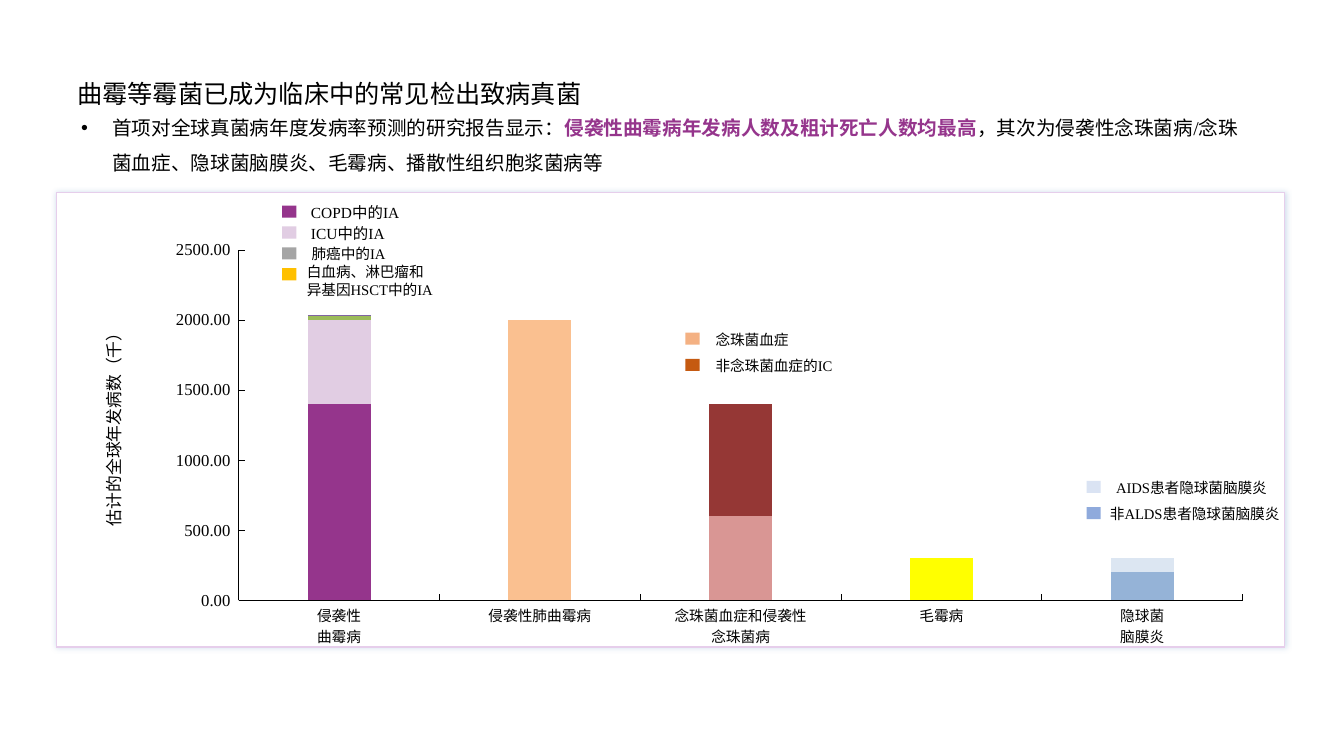
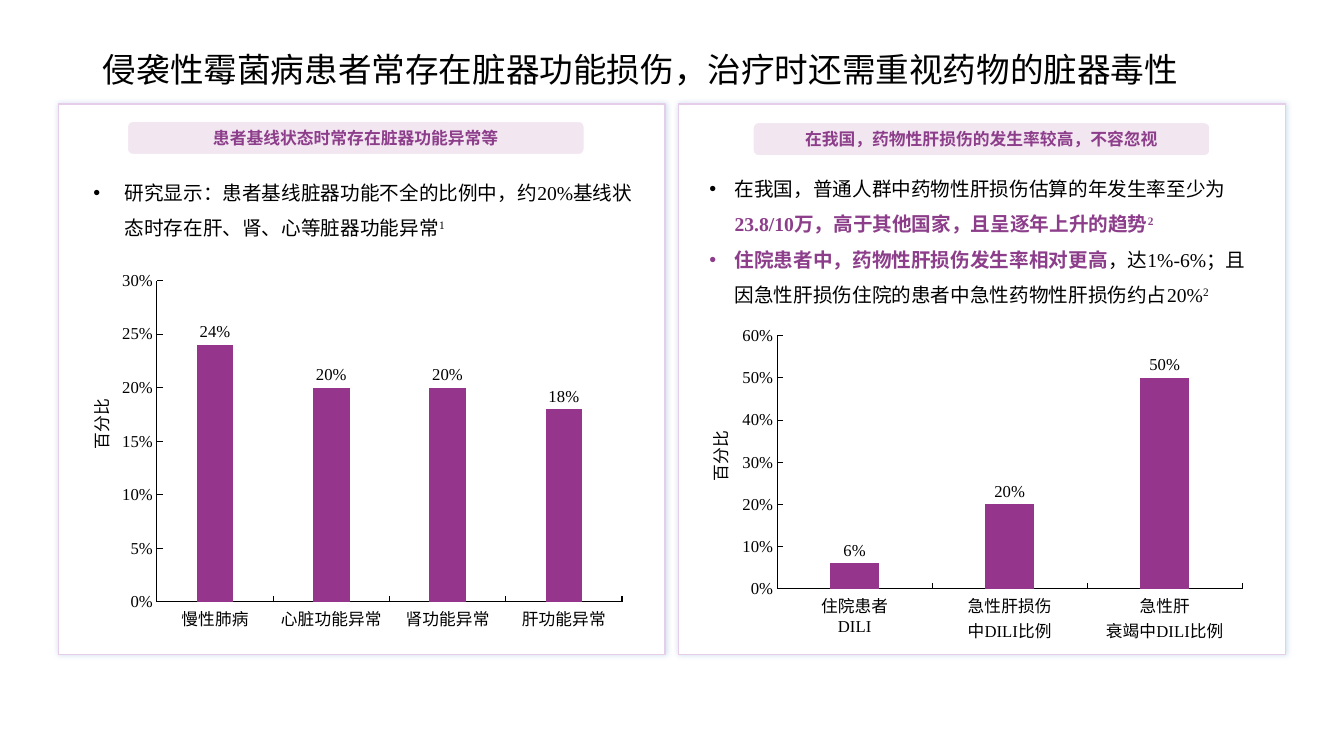
from dataclasses import dataclass

from lxml import etree
from pptx import Presentation
from pptx import util as u
from pptx.chart import data as cd
from pptx.dml.color import RGBColor
from pptx.enum import chart as ce, shapes, text
from pptx.oxml import ns


@dataclass(frozen=True)
class Theme:
    font: str = "Times New Roman"
    title_font: str = "Calibri"
    chart_font: str = "Arial"
    black: str = "000000"
    white: str = "FFFFFF"
    purple: str = "95358C"
    accent: str = "8D3E8B"
    lilac: str = "E1CDE3"
    border: str = "E6CEEB"
    pill: str = "F2E6F1"
    glow: str = "4F81BD"
    body: float = 14
    label: float = 12
    tick: float = 11.9
    key: float = 11
    small: float = 10.5
    chart_size: float = 10


T = Theme()
W, H = u.Inches(13.333), u.Inches(7.5)
SHADOW = (
    '<a:effectLst xmlns:a="{ns}"><a:outerShdw blurRad="50800" dist="0" dir="0">'
    '<a:srgbClr val="{color}"><a:alpha val="25000"/></a:srgbClr>'
    "</a:outerShdw></a:effectLst>"
)


def rgb(code):
    return RGBColor.from_string(code)


def place(x, y, w, h):
    return tuple(int(v * side / 100) for v, side in zip((x, y, w, h), (W, H, W, H)))


def style(font, size, color=T.black, bold=None, name=T.font):
    font.name, font.size, font.bold = name, u.Pt(size), bold
    font.color.rgb = rgb(color)


def add_run(p, words, size, color=T.black, bold=None, raised=False, name=T.font):
    r = p.add_run()
    r.text = words
    style(r.font, size, color, bold, name)
    if raised:
        r.font._element.set("baseline", "30000")


def add_title(s, words, size, box):
    sp = s.shapes.title
    sp.left, sp.top, sp.width, sp.height = place(*box)
    tf = sp.text_frame
    tf.vertical_anchor = text.MSO_ANCHOR.MIDDLE
    tf.auto_size = text.MSO_AUTO_SIZE.NONE
    p = tf.paragraphs[0]
    p.alignment = text.PP_ALIGN.LEFT
    add_run(p, words, size, name=T.title_font)


def add_text(s, words, box, size, align=text.PP_ALIGN.LEFT, rotation=0):
    sp = s.shapes.add_textbox(*place(*box))
    sp.rotation = rotation
    tf = sp.text_frame
    tf.word_wrap = True
    for i, line in enumerate(words.split("\n")):
        p = tf.add_paragraph() if i else tf.paragraphs[0]
        p.alignment = align
        add_run(p, line, size)


def add_bullets(s, items, box, indent, anchor=text.MSO_ANCHOR.TOP):
    tf = s.shapes.add_textbox(*place(*box)).text_frame
    tf.word_wrap, tf.vertical_anchor = True, anchor
    for i, runs in enumerate(items):
        p = tf.add_paragraph() if i else tf.paragraphs[0]
        p.line_spacing = 1.5
        props = p._p.get_or_add_pPr()
        props.set("marL", str(u.Inches(indent)))
        props.set("indent", str(-u.Inches(indent)))
        etree.SubElement(props, ns.qn("a:buFont")).set("typeface", "Arial")
        etree.SubElement(props, ns.qn("a:buChar")).set("char", "•")
        for words, *look in runs:
            add_run(p, words, T.body, *look)


def add_block(s, kind, box, fill, line=None, width=1):
    sp = s.shapes.add_shape(kind, *place(*box))
    sp.shadow.inherit = False
    sp.fill.solid()
    sp.fill.fore_color.rgb = rgb(fill)
    if line:
        sp.line.color.rgb = rgb(line)
        sp.line.width = u.Pt(width)
    else:
        sp.line.fill.background()
    return sp


def add_panel(s, box):
    sp = add_block(s, shapes.MSO_SHAPE.RECTANGLE, box, T.white, T.border)
    props = sp._element.spPr
    props.remove(props.find(ns.qn("a:effectLst")))
    props.append(etree.fromstring(SHADOW.format(ns=ns.nsuri("a"), color=T.glow)))
    for y in (sp.top, sp.top + sp.height):
        edge = s.shapes.add_connector(
            shapes.MSO_CONNECTOR.STRAIGHT, sp.left, y, sp.left + sp.width, y)
        edge.line.color.rgb = rgb(T.border)
        edge.line.width = u.Pt(0.75)
        etree.SubElement(edge._element.spPr, ns.qn("a:effectLst"))


def add_pill(s, words, box):
    sp = add_block(s, shapes.MSO_SHAPE.ROUNDED_RECTANGLE, box, T.pill, T.white, 1.5)
    tf = sp.text_frame
    tf.vertical_anchor = text.MSO_ANCHOR.MIDDLE
    p = tf.paragraphs[0]
    p.alignment = text.PP_ALIGN.CENTER
    add_run(p, words, T.label, T.accent, True)


def add_key(s, x, y, step, entries):
    for i, (color, words, gap, width, size) in enumerate(entries):
        top = y + i * step
        add_block(s, shapes.MSO_SHAPE.RECTANGLE, (x, top, 1.05, 1.6), color)
        rise = 0.95 + 0.4 * words.count("\n")
        add_text(s, words, (x + gap, top - rise, width, 3.8), size)


def style_axis(axis, size, name=T.font):
    axis.has_major_gridlines = False
    axis.major_tick_mark = ce.XL_TICK_MARK.INSIDE
    axis.minor_tick_mark = ce.XL_TICK_MARK.NONE
    axis.format.line.color.rgb = rgb(T.black)
    axis.format.line.width = u.Pt(0.75)
    style(axis.tick_labels.font, size, name=name)


def set_plot_area(chart, area):
    plot_area = chart._chartSpace.chart.plotArea
    layout = plot_area.find(ns.qn("c:layout"))
    if layout is None:
        layout = etree.Element(ns.qn("c:layout"))
        plot_area.insert(0, layout)
    manual = etree.SubElement(layout, ns.qn("c:manualLayout"))
    settings = [("layoutTarget", "inner"), ("xMode", "edge"), ("yMode", "edge")]
    for tag, value in settings + list(zip("xywh", area)):
        etree.SubElement(manual, ns.qn("c:" + tag)).set("val", str(value))


def add_columns(s, kind, box, cats, series, colors, top, step, fmt, area, overlap,
                cat_size=T.tick, cat_font=T.font):
    data = cd.CategoryChartData()
    data.categories = cats
    for i, values in enumerate(series, 1):
        data.add_series(f"Series {i}", values)
    chart = s.shapes.add_chart(kind, *place(*box), data).chart
    chart.has_legend = chart.has_title = False
    style(chart.font, T.chart_size, name=T.chart_font)
    style_axis(chart.category_axis, cat_size, cat_font)
    axis = chart.value_axis
    style_axis(axis, T.tick)
    axis.minimum_scale, axis.maximum_scale, axis.major_unit = 0, top, step
    axis.tick_labels.number_format = fmt
    axis.tick_labels.number_format_is_linked = False
    plot = chart.plots[0]
    plot.gap_width, plot.overlap, plot.vary_by_categories = 219, overlap, False
    for ser, color in zip(plot.series, colors):
        ser.format.fill.solid()
        ser.format.fill.fore_color.rgb = rgb(color)
    set_plot_area(chart, area)
    return plot


def add_percent_columns(s, box, cats, values, top, step, area, cat_font=T.font):
    plot = add_columns(s, ce.XL_CHART_TYPE.COLUMN_CLUSTERED, box, cats, [values],
                       [T.purple], top, step, "0%", area, -27, cat_font=cat_font)
    labels = plot.series[0].data_labels
    labels.show_value = True
    labels.position = ce.XL_LABEL_POSITION.OUTSIDE_END
    labels.number_format, labels.number_format_is_linked = "0%", False
    style(labels.font, T.tick)


def incidence_slide(prs):
    s = prs.slides.add_slide(prs.slide_layouts[5])
    add_panel(s, (4.2, 25.5, 91.4, 60.1))
    add_title(s, "曲霉等霉菌已成为临床中的常见检出致病真菌", 18, (5, 4, 90, 16.7))
    add_bullets(s, [[
        ("首项对全球真菌病年度发病率预测的研究报告显示：",),
        ("侵袭性曲霉病年发病人数及粗计死亡人数均最高", T.purple, True),
        ("，其次为侵袭性念珠菌病/念珠菌血症、隐球菌脑膜炎、毛霉病、播散性组织胞浆菌病等",),
    ]], (5.3, 13.6, 88.65, 9.6), 0.31, text.MSO_ANCHOR.MIDDLE)

    cats = ["侵袭性\n曲霉病", "侵袭性肺曲霉病", "念珠菌血症和侵袭性\n念珠菌病", "毛霉病", "隐球菌\n脑膜炎"]
    stacks = [
        (0, 1400, T.purple), (0, 600, T.lilac), (0, 30, "9BBB59"), (0, 10, "8064A2"),
        (2, 600, "D99694"), (2, 800, "953735"), (4, 200, "95B3D7"), (4, 100, "DCE6F2"),
    ]
    series = [[value if i == col else None for i in range(len(cats))]
              for col, value, _ in stacks]
    series.append([None, 2000, None, 300, None])
    plot = add_columns(
        s, ce.XL_CHART_TYPE.COLUMN_STACKED, (5.4, 31.9, 87.1, 55.2), cats, series,
        [color for *_, color in stacks] + ["C4BD97"], 2500, 500,
        r"0.00_);[Red]\(0.00\)", (0.142, 0.021, 0.858, 0.84), 100, T.small)
    for i, color in ((1, "FAC090"), (3, "FFFF00")):
        fill = plot.series[-1].points[i].format.fill
        fill.solid()
        fill.fore_color.rgb = rgb(color)

    add_text(s, "估计的全球年发病数（千）", (0.15, 54.1, 16.65, 4), T.label, rotation=270)
    add_key(s, 21, 27.2, 2.76, [
        (T.purple, "COPD中的IA", 1.4, 10.2, T.key),
        (T.lilac, "ICU中的IA", 1.4, 10.2, T.key),
        ("A5A5A5", "肺癌中的IA", 1.45, 10.2, T.small),
        ("FFC000", "白血病、淋巴瘤和\n异基因HSCT中的IA", 1.1, 21, T.small),
    ])
    add_key(s, 51, 44, 3.47, [
        ("F4B183", "念珠菌血症", 1.5, 11.1, T.small),
        ("C55A11", "非念珠菌血症的IC", 1.5, 11.1, T.small),
    ])
    add_key(s, 80.85, 63.6, 3.47, [
        ("DAE3F3", "AIDS患者隐球菌脑膜炎", 1.45, 13.3, T.small),
        ("8FAADC", "非ALDS患者隐球菌脑膜炎", 1, 14.25, T.small),
    ])


def organ_slide(prs):
    s = prs.slides.add_slide(prs.slide_layouts[5])
    for x in (4.35, 50.5):
        add_panel(s, (x, 13.75, 45.15, 72.8))
    add_title(s, "侵袭性霉菌病患者常存在脏器功能损伤，治疗时还需重视药物的脏器毒性",
              24, (6.9, 5.33, 90, 7.6))

    add_pill(s, "患者基线状态时常存在脏器功能异常等", (9.45, 16, 34.05, 4.5))
    add_bullets(s, [[
        ("研究显示：患者基线脏器功能不全的比例中，约20%基线状态时存在肝、肾、心等脏器功能异常",),
        ("1", T.black, None, True),
    ]], (6.2, 21.7, 42.7, 10.3), 0.31)
    add_percent_columns(
        s, (8.3, 34.9, 38.8, 49.6), ["慢性肺病", "心脏功能异常", "肾功能异常", "肝功能异常"],
        [0.24, 0.2, 0.2, 0.18], 0.3, 0.05, (0.087, 0.045, 0.892, 0.857), T.chart_font)

    add_pill(s, "在我国，药物性肝损伤的发生率较高，不容忽视", (56, 16.15, 34.05, 4.5))
    add_bullets(s, [
        [("在我国，普通人群中药物性肝损伤估算的年发生率至少为",),
         ("23.8/10万，高于其他国家，且呈逐年上升的趋势", T.accent, True),
         ("2", T.accent, True, True)],
        [("住院患者中，药物性肝损伤发生率相对更高", T.accent, True),
         ("，达1%-6%；且因急性肝损伤住院的患者中急性药物性肝损伤约占20%",),
         ("2", T.black, None, True)],
    ], (52.05, 21.2, 41.6, 19.6), 0.25)
    add_percent_columns(
        s, (54.45, 42.5, 38.8, 43.6), ["住院患者\nDILI", "急性肝损伤\n中DILI比例", "急性肝\n衰竭中DILI比例"],
        [0.06, 0.2, 0.5], 0.6, 0.1, (0.087, 0.044, 0.892, 0.768))

    for x, y in ((0.1, 54.1), (46.15, 58.3)):
        add_text(s, "百分比", (x, y, 15, 4), T.label, text.PP_ALIGN.CENTER, 270)


def main():
    prs = Presentation()
    prs.slide_width, prs.slide_height = W, H
    incidence_slide(prs)
    organ_slide(prs)
    prs.save("out.pptx")


if __name__ == "__main__":
    main()
